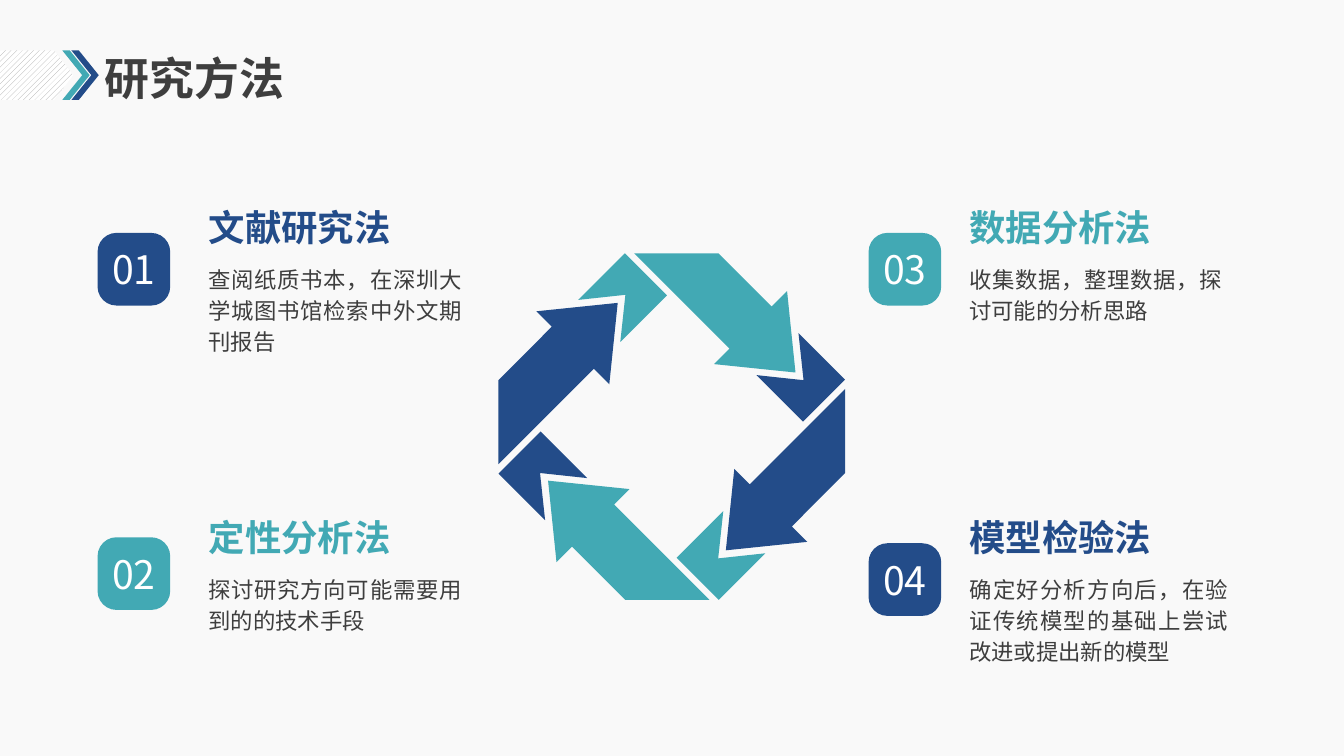
from pptx import Presentation
from pptx import util as u
from pptx.dml import color
from pptx.enum import dml, shapes, text
from lxml import etree

DRAWING = "http://schemas.openxmlformats.org/drawingml/2006/main"
FONT = "Noto Sans CJK SC"
BLUE, TEAL, DARK, WHITE = "234C89", "42A9B4", "3E3E3E", "FFFFFF"


def rgb(value):
    return color.RGBColor.from_string(value)


def write(frame, content, size, fill, bold=False, align=text.PP_ALIGN.LEFT,
          anchor=text.MSO_ANCHOR.TOP, spacing=None, margin=0):
    frame.word_wrap = True
    frame.vertical_anchor = anchor
    frame.margin_left = frame.margin_right = u.Cm(margin)
    frame.margin_top = frame.margin_bottom = u.Cm(margin / 2)
    paragraph = frame.paragraphs[0]
    paragraph.alignment = align
    if spacing:
        paragraph.line_spacing = spacing
    run = paragraph.add_run()
    run.text = content
    font = run.font
    font.name, font.size, font.bold = FONT, u.Pt(size), bold
    font.color.rgb = rgb(fill)
    # East Asian characters take their own typeface element
    properties = run._r.get_or_add_rPr()
    etree.SubElement(properties, f"{{{DRAWING}}}ea", typeface=FONT)


class SlideBuilder:
    def __init__(self, presentation):
        self.slide = presentation.slides.add_slide(presentation.slide_layouts[5])
        background = self.slide.background.fill
        background.solid()
        background.fore_color.rgb = rgb("F9F9F9")

    def finish(self, shape, fill):
        shape.shadow.inherit = False
        shape.line.fill.background()
        shape.fill.solid()
        shape.fill.fore_color.rgb = rgb(fill)
        return shape

    def title(self, content, *box):
        shape = self.slide.shapes.title
        shape.left, shape.top, shape.width, shape.height = map(u.Cm, box)
        write(shape.text_frame, content, 32, DARK, bold=True,
              anchor=text.MSO_ANCHOR.MIDDLE, spacing=0.9, margin=0.25)

    def preset(self, kind, fill, adjustment, *box):
        shape = self.slide.shapes.add_shape(kind, *map(u.Cm, box))
        shape.adjustments[0] = adjustment
        return self.finish(shape, fill)

    def badge(self, number, fill, left, top):
        shape = self.preset(shapes.MSO_SHAPE.ROUNDED_RECTANGLE, fill, 0.26,
                            left, top, 1.83, 1.83)
        write(shape.text_frame, number, 28, WHITE,
              align=text.PP_ALIGN.CENTER, anchor=text.MSO_ANCHOR.MIDDLE)

    def textbox(self, content, box, size, fill, **style):
        shape = self.slide.shapes.add_textbox(*map(u.Cm, box))
        write(shape.text_frame, content, size, fill, **style)
        shape.text_frame.auto_size = text.MSO_AUTO_SIZE.SHAPE_TO_FIT_TEXT

    def outline(self, points, center_x, center_y, rotation, fill):
        corners = [(u.Cm(center_x + x), u.Cm(center_y + y)) for x, y in points]
        builder = self.slide.shapes.build_freeform(*corners[0])
        builder.add_line_segments(corners[1:], close=True)
        shape = self.finish(builder.convert_to_shape(), fill)
        shape.rotation = rotation


def main():
    presentation = Presentation()
    presentation.slide_width, presentation.slide_height = u.Cm(33.87), u.Cm(19.05)
    page = SlideBuilder(presentation)

    # Heading with hatched band and two chevrons
    band = page.preset(shapes.MSO_SHAPE.PENTAGON, WHITE, 0.39, 0, 1.27, 1.85, 1.25)
    band.fill.patterned()
    band.fill.pattern = dml.MSO_PATTERN.WIDE_UPWARD_DIAGONAL
    band.fill.fore_color.rgb = rgb("A6A6A6")
    band.fill.back_color.rgb = rgb(WHITE)
    for left, fill in ((1.57, TEAL), (1.8, BLUE)):
        page.preset(shapes.MSO_SHAPE.CHEVRON, fill, 0.73, left, 1.27, 0.69, 1.25)
    page.title("研究方法", 2.39, 1.4, 12.55, 1.27)

    # Four methods: number, name, description
    methods = [
        ("01", "文献研究法", "查阅纸质书本，在深圳大学城图书馆检索中外文期刊报告",
         BLUE, 2.46, 5.87, 5.26, 5.18, 6.38),
        ("02", "定性分析法", "探讨研究方向可能需要用到的的技术手段",
         TEAL, 2.46, 13.54, 5.26, 12.98, 6.38),
        ("03", "数据分析法", "收集数据，整理数据，探讨可能的分析思路",
         TEAL, 21.89, 5.87, 24.43, 5.18, 6.38),
        ("04", "模型检验法", "确定好分析方向后，在验证传统模型的基础上尝试改进或提出新的模型",
         BLUE, 21.89, 13.69, 24.43, 12.98, 6.53),
    ]
    for number, name, detail, fill, badge_left, badge_top, left, top, width in methods:
        page.badge(number, fill, badge_left, badge_top)
        page.textbox(name, (left, top, 6.25, 1.12), 26, fill, bold=True)
        height = 2.29 if len(detail) > 22 else 1.5
        page.textbox(detail, (left, top + 1.44, width, height), 16, DARK,
                     align=text.PP_ALIGN.JUSTIFY, spacing=u.Pt(22))

    # Cycle: one arrow and one notched tail, turned four times by 90 degrees
    arrow = [(0.9, -1.3), (2.5, 0), (0.9, 1.3), (0.9, 0.75),
             (-2.5, 0.75), (-1, -0.75), (0.9, -0.75)]
    tail = [(-0.83, -0.75), (0.83, -0.75), (0.83, 0.75), (-0.83, 0.75), (0.1, 0)]
    center_x, center_y = 16.93, 10.75
    arrow_x, arrow_y, tail_x, tail_y = 1.35, -3.13, 3.25, -1.24
    for turn in range(4):
        arrow_fill, tail_fill = (BLUE, TEAL) if turn % 2 else (TEAL, BLUE)
        rotation = 45 + 90 * turn
        page.outline(tail, center_x + tail_x, center_y + tail_y, rotation, tail_fill)
        page.outline(arrow, center_x + arrow_x, center_y + arrow_y, rotation, arrow_fill)
        arrow_x, arrow_y = -arrow_y, arrow_x
        tail_x, tail_y = -tail_y, tail_x

    presentation.save("out.pptx")


if __name__ == "__main__":
    main()
